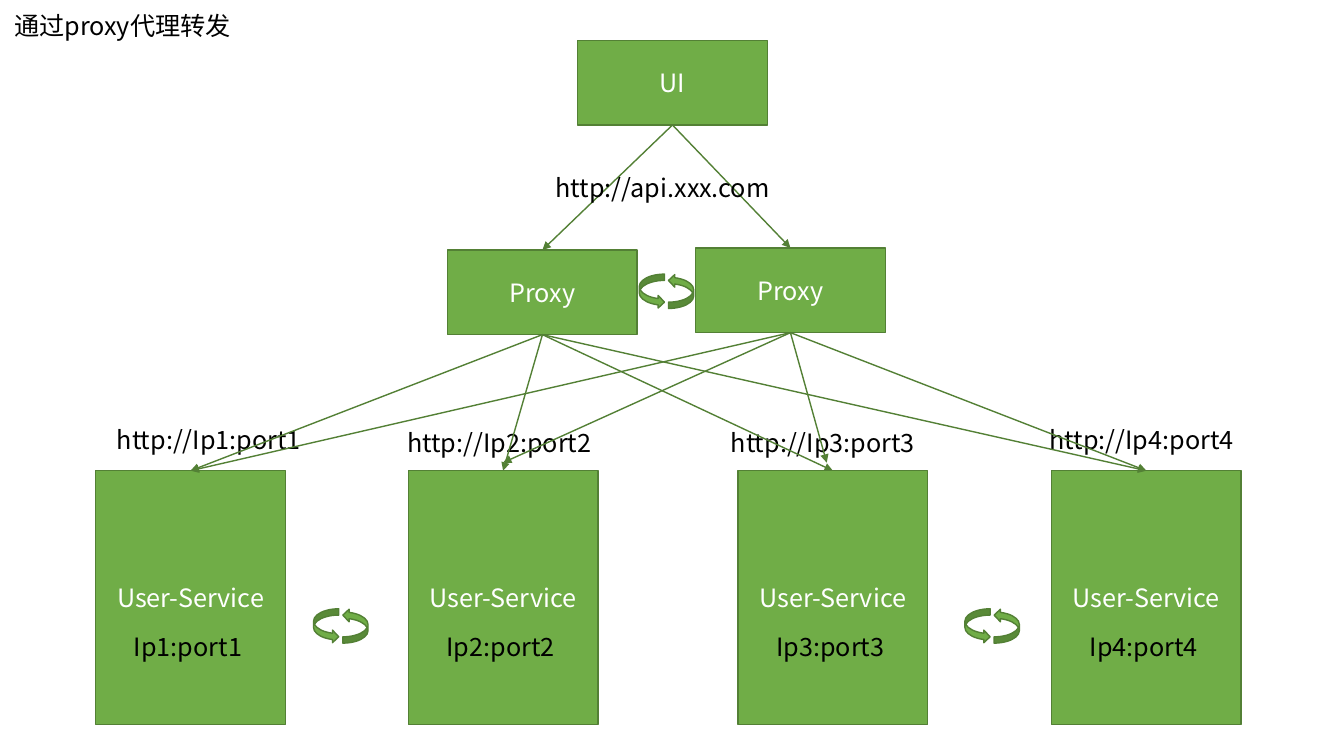
from dataclasses import dataclass

from lxml import etree
from pptx import Presentation
from pptx.dml.color import RGBColor
from pptx.enum.shapes import MSO_CONNECTOR, MSO_SHAPE
from pptx.enum.text import MSO_ANCHOR, MSO_AUTO_SIZE, PP_ALIGN
from pptx.oxml.ns import qn
from pptx.util import Inches, Pt

RECT, CURVED = MSO_SHAPE.RECTANGLE, MSO_SHAPE.CURVED_RIGHT_ARROW
STRAIGHT = MSO_CONNECTOR.STRAIGHT
LEFT, CENTER = PP_ALIGN.LEFT, PP_ALIGN.CENTER
TOP, MIDDLE = MSO_ANCHOR.TOP, MSO_ANCHOR.MIDDLE
NO_FIT = MSO_AUTO_SIZE.NONE
TOP_SITE, BOTTOM_SITE = 0, 2


@dataclass(frozen=True)
class Theme:
    """Colours, font and sizes of the diagram."""
    fill: RGBColor = RGBColor(0x70, 0xAD, 0x47)
    line: RGBColor = RGBColor(0x53, 0x80, 0x35)
    light: RGBColor = RGBColor(0xFF, 0xFF, 0xFF)
    dark: RGBColor = RGBColor(0, 0, 0)
    font: str = "Noto Sans CJK SC"
    size: Pt = Pt(18)
    stroke: Pt = Pt(1)


THEME = Theme()
NODE_W, NODE_H = 1.88, 0.84
SERVICE_TOP, SERVICE_H = 4.67, 2.52


def write(s, text, color, align, anchor, wrap=True):
    """Fill a shape with one formatted paragraph."""
    tf = s.text_frame
    tf.word_wrap, tf.auto_size, tf.vertical_anchor = wrap, NO_FIT, anchor
    p = tf.paragraphs[0]
    p.text, p.alignment = text, align
    p.font.size, p.font.name = THEME.size, THEME.font
    p.font.color.rgb = color
    props = p.font.fill._xPr
    etree.SubElement(props, qn("a:ea"), typeface=THEME.font)


def add_label(slide, text, x, y, w):
    """Add a one-line dark label."""
    s = slide.shapes.add_textbox(Inches(x), Inches(y), Inches(w), Inches(0.4))
    write(s, text, THEME.dark, LEFT, TOP, wrap=False)


def add_green(slide, kind, x, y, w, h):
    """Add a green outlined preset shape."""
    s = slide.shapes.add_shape(kind, Inches(x), Inches(y), Inches(w), Inches(h))
    s.shadow.inherit = False
    s.fill.solid()
    s.fill.fore_color.rgb = THEME.fill
    s.line.color.rgb = THEME.line
    s.line.width = THEME.stroke
    return s


def add_node(slide, text, x, y, h=NODE_H):
    """Add a labelled green box."""
    s = add_green(slide, RECT, x, y, NODE_W, h)
    write(s, text, THEME.light, CENTER, MIDDLE)
    return s


def add_cycle(slide, x, y):
    """Add two curved arrows that turn around each other."""
    for dx, angle in ((0, 0), (0.29, 180)):
        add_green(slide, CURVED, x + dx, y, 0.25, 0.34).rotation = angle


def add_arrow(slide, source, target, end=None):
    """Link the bottom of source to the top of target, or to a free end."""
    x, y = end or (0, 0)
    c = slide.shapes.add_connector(STRAIGHT, 0, 0, Inches(x), Inches(y))
    c.begin_connect(source, BOTTOM_SITE)
    if end is None:
        c.end_connect(target, TOP_SITE)
    c.line.color.rgb = THEME.line
    c.line.width = THEME.stroke
    etree.SubElement(c.line._get_or_add_ln(), qn("a:tailEnd"), type="triangle")
    etree.SubElement(c._element.spPr, qn("a:effectLst"))


def add_title(slide, text, x, y, w, h):
    """Place the title in the given box."""
    s = slide.shapes.title
    s.left, s.top, s.width, s.height = map(Inches, (x, y, w, h))
    write(s, text, THEME.dark, LEFT, TOP)


def add_service(slide, number, x, url_x, url_y):
    """Add one service box with its address and URL."""
    s = add_node(slide, "User-Service", x, SERVICE_TOP, SERVICE_H)
    add_label(slide, f"Ip{number}:port{number}", x + 0.28, SERVICE_TOP + 1.54, 1.31)
    add_label(slide, f"http://Ip{number}:port{number}", url_x, url_y, 2.1)
    return s


def build_slide(prs):
    """Build the proxy forwarding diagram."""
    slide = prs.slides.add_slide(prs.slide_layouts[5])
    add_title(slide, "通过proxy代理转发", 0.04, 0.05, 2.38, 0.7)

    places = ((0.95, 1.06, 4.16), (4.05, 3.94, 4.19),
              (7.32, 7.15, 4.19), (10.43, 10.31, 4.16))
    services = [add_service(slide, i, *place) for i, place in enumerate(places, 1)]
    ui = add_node(slide, "UI", 5.73, 0.4)
    proxies = [add_node(slide, "Proxy", x, y) for x, y in ((4.44, 2.48), (6.9, 2.46))]
    for x, y in ((3.11, 6.04), (9.57, 6.04), (6.34, 2.72)):
        add_cycle(slide, x, y)

    free_ends = {(1, 1): (4.99, 4.59), (1, 2): (8.2, 4.59)}
    for i, proxy in enumerate(proxies):
        add_arrow(slide, ui, proxy)
        for j, service in enumerate(services):
            add_arrow(slide, proxy, service, free_ends.get((i, j)))
    add_label(slide, "http://api.xxx.com", 5.41, 1.66, 2.39)


prs = Presentation()
prs.slide_width, prs.slide_height = Inches(13.33), Inches(7.5)
build_slide(prs)
prs.save("out.pptx")
